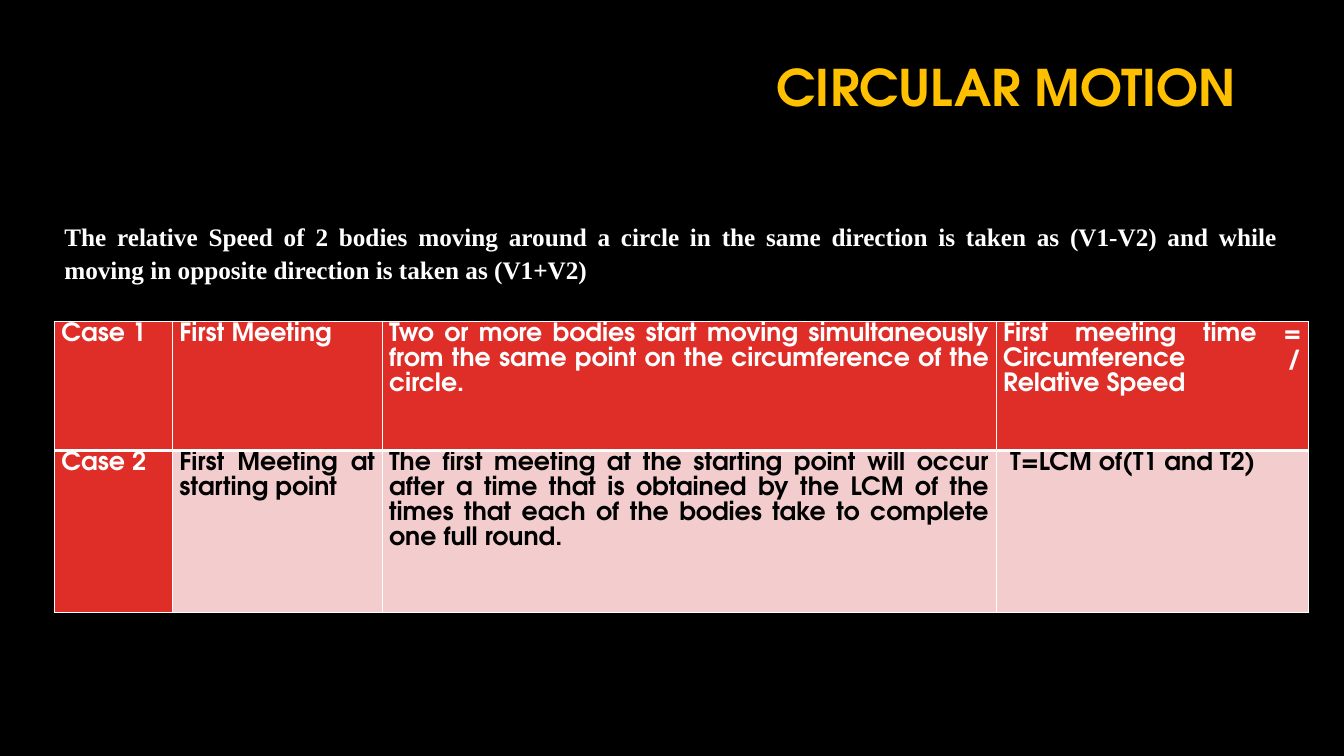
from typing import NamedTuple

from lxml.etree import SubElement
from pptx import Presentation
from pptx.dml.color import RGBColor
from pptx.enum.text import MSO_ANCHOR as Anchor, PP_ALIGN as Align
from pptx.oxml.ns import qn
from pptx.util import Inches, Pt

COLORS = {
    "black": "000000",
    "white": "FFFFFF",
    "gold": "FFC000",
    "red": "DF2E28",
    "pink": "F3CDCD",
}
HEADING_FONT = "TeX Gyre Adventor"
BODY_FONT = "Times New Roman"


class Cell(NamedTuple):
    text: str
    fill: str = "red"
    color: str = "white"
    left: float = 0.07


COL_WIDTHS = [1.17, 2.08, 6.09, 3.1]
ROW_HEIGHTS = [1.28, 1.61]
CASES = [
    [
        Cell("Case 1"),
        Cell("First Meeting"),
        Cell("Two or more bodies start moving simultaneously from the same "
             "point on the circumference of the circle."),
        Cell("First meeting time = Circumference / Relative Speed"),
    ],
    [
        Cell("Case 2"),
        Cell("First Meeting at starting point", "pink", "black"),
        Cell("The first meeting at the starting point will occur after a time "
             "that is obtained by the LCM of the times that each of the bodies "
             "take to complete one full round.", "pink", "black"),
        Cell("T=LCM of(T1 and T2)", "pink", "black", 0.14),
    ],
]


def rgb(name: str) -> RGBColor:
    return RGBColor.from_string(COLORS[name])


def set_attrs(target, values: dict) -> None:
    for name, value in values.items():
        setattr(target, name, value)


def write(tf, text: str, font: str, size: float, color: str,
          align=Align.JUSTIFY, spacing: float = 1.07) -> None:
    """Fill a text frame with one bold paragraph."""
    p = tf.paragraphs[0]
    set_attrs(p, {"alignment": align, "line_spacing": spacing})
    r = p.add_run()
    r.text = text
    set_attrs(r.font, {"name": font, "size": Pt(size), "bold": True})
    r.font.color.rgb = rgb(color)


def add_borders(cell, bottom: float) -> None:
    """Draw white cell borders, placed ahead of the fill."""
    tc_pr = cell._tc.get_or_add_tcPr()
    widths = {"a:lnL": 1, "a:lnR": 1, "a:lnT": 1, "a:lnB": bottom}
    for i, (tag, width) in enumerate(widths.items()):
        ln = SubElement(tc_pr, qn(tag), w=str(Pt(width)))
        fill = SubElement(ln, qn("a:solidFill"))
        SubElement(fill, qn("a:srgbClr"), val=COLORS["white"])
        tc_pr.insert(i, ln)


def add_cases(slide) -> None:
    frame = slide.shapes.add_table(
        len(ROW_HEIGHTS), len(COL_WIDTHS), Inches(0.54), Inches(3.19),
        Inches(sum(COL_WIDTHS)), Inches(sum(ROW_HEIGHTS)))
    table = frame.table
    for col, width in zip(table.columns, COL_WIDTHS):
        col.width = Inches(width)
    for i, (height, row) in enumerate(zip(ROW_HEIGHTS, CASES)):
        table.rows[i].height = Inches(height)
        for j, item in enumerate(row):
            cell = table.cell(i, j)
            set_attrs(cell, {
                "margin_left": Inches(item.left), "margin_right": Inches(0.07),
                "margin_top": 0, "margin_bottom": 0,
            })
            cell.fill.solid()
            cell.fill.fore_color.rgb = rgb(item.fill)
            # A thick rule separates the first row from the second
            add_borders(cell, 3 if i == 0 else 1)
            write(cell.text_frame, item.text, HEADING_FONT, 18, item.color)


def main() -> None:
    prs = Presentation()
    set_attrs(prs, {"slide_width": Inches(13.33), "slide_height": Inches(7.5)})
    slide = prs.slides.add_slide(prs.slide_layouts[5])
    slide.background.fill.solid()
    slide.background.fill.fore_color.rgb = rgb("black")

    # Title
    title = slide.shapes.title
    set_attrs(title, {"left": Inches(3.11), "top": Inches(0.57),
                      "width": Inches(9.25), "height": Inches(0.65)})
    title.text_frame.vertical_anchor = Anchor.MIDDLE
    write(title.text_frame, "CIRCULAR MOTION", HEADING_FONT, 36, "gold",
          Align.RIGHT, 0.9)

    # Relative speed rule
    box = slide.shapes.add_textbox(
        Inches(0.54), Inches(2.13), Inches(12.23), Inches(0.73))
    box.text_frame.word_wrap = True
    write(box.text_frame,
          "The relative Speed of 2 bodies moving around a circle in the same "
          "direction is taken as (V1-V2) and while moving in opposite "
          "direction is taken as (V1+V2)", BODY_FONT, 18, "white")

    # Meeting cases
    add_cases(slide)
    prs.save("out.pptx")


if __name__ == "__main__":
    main()
